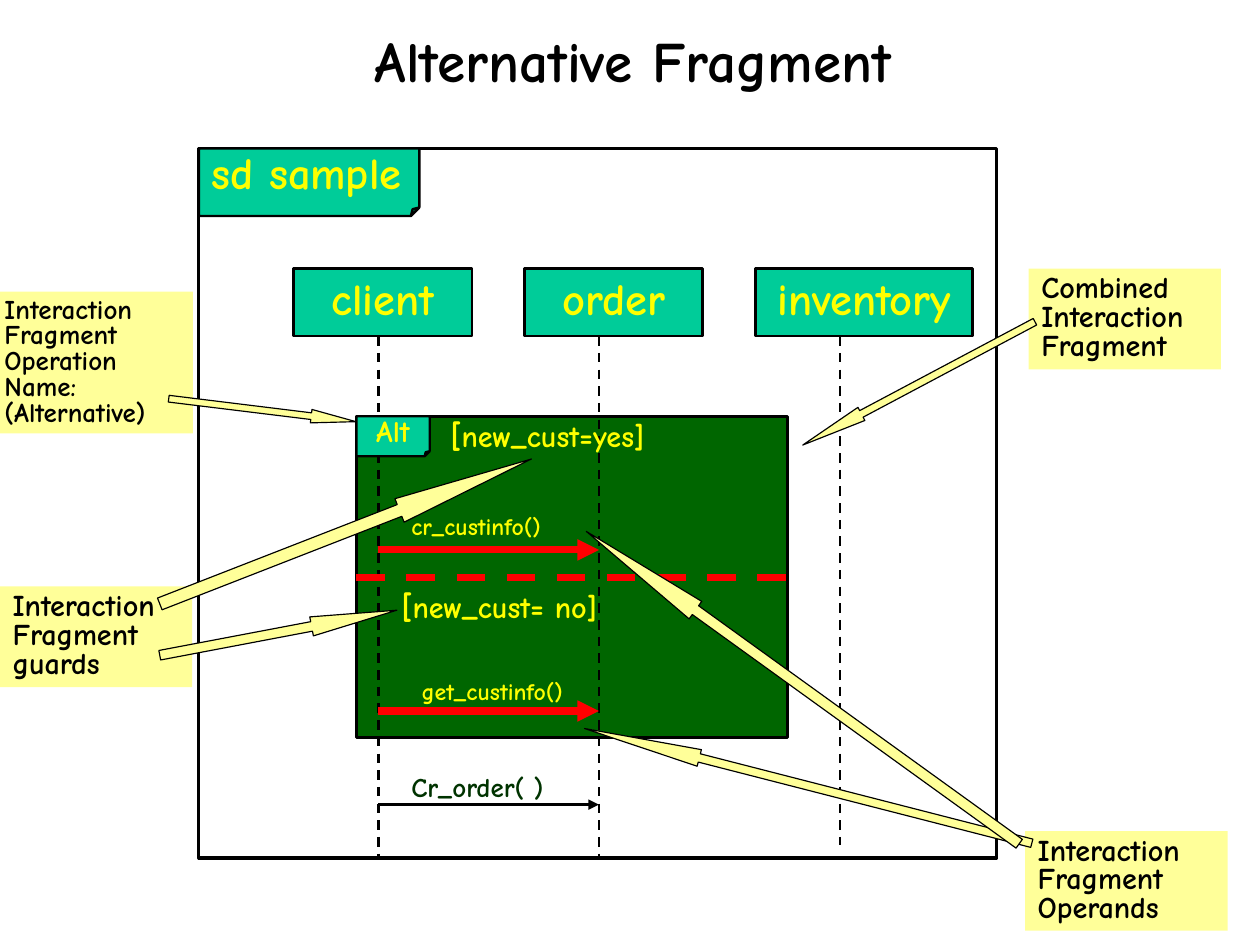
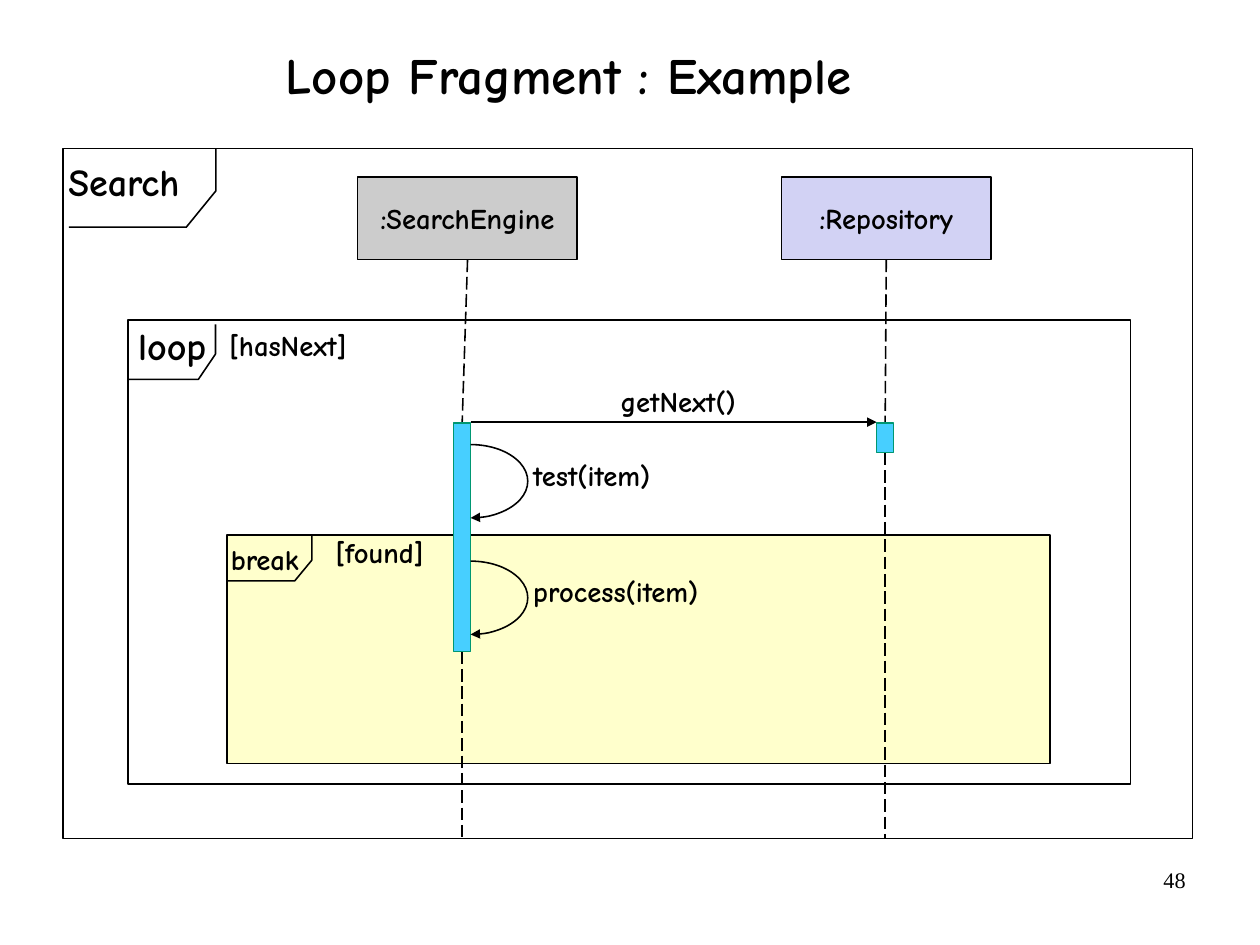
"""Build two slides on interaction fragments in sequence diagrams."""
import math

from lxml import etree
from pptx import Presentation
from pptx.dml.color import RGBColor
from pptx.enum.dml import MSO_LINE
from pptx.enum.shapes import MSO_CONNECTOR, MSO_SHAPE
from pptx.enum.text import MSO_ANCHOR, PP_ALIGN
from pptx.oxml.ns import qn
from pptx.util import Cm, Pt

RECT, FOLD = MSO_SHAPE.RECTANGLE, MSO_SHAPE.FOLDED_CORNER
ARROW, ARC = MSO_SHAPE.LEFT_ARROW, MSO_SHAPE.ARC
STRAIGHT = MSO_CONNECTOR.STRAIGHT
DASH, LONG = MSO_LINE.DASH, MSO_LINE.LONG_DASH
LEFT, CENTER, RIGHT = PP_ALIGN.LEFT, PP_ALIGN.CENTER, PP_ALIGN.RIGHT
TOP, MIDDLE = MSO_ANCHOR.TOP, MSO_ANCHOR.MIDDLE
FONT, SERIF = "Comic Neue", "Times New Roman"
TIGHT = {"gap": 0.8, "pad": (0.28, 0.15)}
COLORS = {
    "black": "000000", "white": "FFFFFF", "teal": "00CC99",
    "yellow": "FFFF00", "green": "006600", "dark": "003300",
    "red": "FF0000", "note": "FFFF99", "cream": "FFFFCC",
    "gray": "CCCCCC", "lilac": "D2D2F4", "sky": "47CFFF", "edge": "009771",
}


def rgb(name):
    """Return a named colour."""
    return RGBColor.from_string(COLORS[name])


def style(run, size, color="black", font=FONT, bold=True):
    """Format one run of text."""
    run.font.size, run.font.name, run.font.bold = Pt(size), font, bold
    run.font.color.rgb = rgb(color)


def write(shape, text, size, color="black", align=LEFT, anchor=TOP,
          gap=1.0, pad=(0.25, 0.13), font=FONT, bold=True):
    """Put formatted text into a shape."""
    frame = shape.text_frame
    frame.text = text
    frame.word_wrap = True
    frame.vertical_anchor = anchor
    frame.margin_left = frame.margin_right = Cm(pad[0])
    frame.margin_top = frame.margin_bottom = Cm(pad[1])
    for para in frame.paragraphs:
        para.alignment, para.line_spacing = align, gap
        for run in para.runs:
            style(run, size, color, font, bold)


def paint(shape, fill, line="black", width=1.0):
    """Set the fill and outline of a shape."""
    shape.shadow.inherit = False
    if fill:
        shape.fill.solid()
        shape.fill.fore_color.rgb = rgb(fill)
    else:
        shape.fill.background()
    if line:
        shape.line.color.rgb = rgb(line)
        shape.line.width = Pt(width)
    else:
        shape.line.fill.background()


def box(slide, x, y, w, h, fill=None, line="black", width=1.0, kind=RECT):
    """Add a painted preset shape."""
    shape = slide.shapes.add_shape(kind, Cm(x), Cm(y), Cm(w), Cm(h))
    paint(shape, fill, line, width)
    return shape


def label(slide, x, y, w, h, text, size, color="black", **look):
    """Add a text box and return it."""
    shape = slide.shapes.add_textbox(Cm(x), Cm(y), Cm(w), Cm(h))
    write(shape, text, size, color, **look)
    return shape


def head(shape):
    """Add an arrowhead to the end of a line."""
    outline = shape._element.spPr.find(qn("a:ln"))
    etree.SubElement(outline, qn("a:tailEnd")).set("type", "triangle")


def link(slide, start, end, color="black", width=1.0, dash=None, tip=False):
    """Draw a straight line, dashed or with an arrowhead if asked."""
    line = slide.shapes.add_connector(
        STRAIGHT, Cm(start[0]), Cm(start[1]), Cm(end[0]), Cm(end[1]))
    line.line.color.rgb = rgb(color)
    line.line.width = Pt(width)
    if dash:
        line.line.dash_style = dash
    if tip:
        head(line)
    etree.SubElement(line._element.spPr, qn("a:effectLst"))


def title(slide, x, y, w, h, text, size):
    """Place and format the slide title."""
    shape = slide.shapes.title
    shape.left, shape.top, shape.width, shape.height = Cm(x), Cm(y), Cm(w), Cm(h)
    write(shape, text, size, align=CENTER, anchor=MIDDLE, gap=0.88, pad=(0, 0))


def fold(slide, x, y, w, h, text, size, **look):
    """Add a name tag with a small folded corner."""
    shape = box(slide, x, y, w, h, "teal", width=1.5, kind=FOLD)
    guides = shape._element.spPr.find(qn("a:prstGeom")).find(qn("a:avLst"))
    guide = etree.SubElement(guides, qn("a:gd"))
    guide.set("name", "adj")
    guide.set("fmla", "val 12500")
    write(shape, text, size, "yellow", **look, **TIGHT)


def actor(slide, x, y, w, text, stem, end):
    """Draw a participant and its lifeline."""
    high = 1.5
    shape = box(slide, x, y, w, high, "teal", width=1.75)
    write(shape, text, 28, "yellow", CENTER, MIDDLE, **TIGHT)
    link(slide, (x + stem, y + high), (x + stem, end), width=1.5, dash=DASH)


def guard(slide, x, y, w, text):
    """Write a guard with a larger opening bracket."""
    para = label(slide, x, y, w, 1, "[", 21, "yellow",
                 **TIGHT).text_frame.paragraphs[0]
    run = para.add_run()
    run.text = text
    style(run, 19, "yellow")


def alt(slide, x, y, w):
    """Draw the operands of the alternative fragment."""
    fold(slide, x, y, 1.63, 0.89, "Alt", 19, align=CENTER, anchor=MIDDLE)
    guard(slide, x + 1.81, y - 0.03, 6.38, "new_cust=yes]")
    guard(slide, x + 0.72, y + 3.78, 7.26, "new_cust= no]")
    for text, dx, dy, low in (("cr_custinfo()", 0.94, 2.1, 2.97),
                              ("get_custinfo()", 1.17, 5.76, 6.55)):
        label(slide, x + dx, y + dy, 4.42, 0.79, text, 15, "yellow", **TIGHT)
        link(slide, (x + 0.49, y + low), (x + 5.39, y + low),
             "red", 4.5, tip=True)
    link(slide, (x, y + 3.58), (x + w, y + 3.58), "red", 4.5, DASH)


def note(slide, x, y, w, h, text, size=19, pad=0.28):
    """Add a yellow note."""
    write(box(slide, x, y, w, h, "note", None), text, size,
          gap=0.8, pad=(pad, 0.15))


def point(slide, tail, tip, thick, ratio):
    """Draw a block arrow from tail to tip."""
    dx, dy = tail[0] - tip[0], tail[1] - tip[1]
    size = math.hypot(dx, dy)
    x, y = (tail[0] + tip[0] - size) / 2, (tail[1] + tip[1] - thick) / 2
    shape = box(slide, x, y, size, thick, "note", width=0.75, kind=ARROW)
    shape.adjustments[0], shape.adjustments[1] = 0.5, ratio
    shape.rotation = math.degrees(math.atan2(dy, dx)) % 360


def choice(slide):
    """Build the alternative fragment slide."""
    title(slide, 1.24, -0.3, 25.65, 3.48, "Alternative Fragment", 36)
    x, y = 4.42, 3.3
    box(slide, x, y, 17.73, 15.77, "white", width=2)
    fold(slide, x, y, 4.9, 1.5, "sd sample", 28)
    box(slide, 7.92, 9.25, 9.58, 7.14, "green", width=2)
    for left, wide, text, stem, end in ((6.53, 3.96, "client", 1.88, 19.07),
                                        (11.66, 3.96, "order", 1.65, 19.07),
                                        (16.79, 4.83, "inventory", 1.88, 18.77)):
        actor(slide, left, 5.97, wide, text, stem, end)
    label(slide, 8.86, 17.12, 4.29, 0.86, "Cr_order( )", 17, "dark", **TIGHT)
    link(slide, (8.41, 17.88), (13.31, 17.88), width=2.25, tip=True)
    alt(slide, 7.92, 9.25, 9.58)
    note(slide, 22.86, 5.97, 4.27, 2.24, "Combined\nInteraction\nFragment")
    note(slide, 0, 6.48, 4.29, 3.15,
         "Interaction\nFragment\nOperation\nName:\n(Alternative)", 17, 0.1)
    note(slide, 22.78, 18.47, 4.5, 2.21, "Interaction\nFragment\nOperands")
    note(slide, 0, 13.03, 4.27, 2.24, "Interaction\nFragment\nguards")
    for tail, tip, thick, ratio in (
            ((23, 7.15), (17.84, 9.89), 0.33, 4.47),
            ((3.75, 8.86), (7.91, 9.37), 0.3, 3.34),
            ((22.93, 18.74), (12.99, 16.19), 0.38, 6.93),
            ((3.55, 13.42), (11.81, 10.2), 0.56, 5.62),
            ((22.65, 18.75), (13.03, 11.81), 0.48, 6.23),
            ((3.55, 14.56), (8.82, 13.56), 0.43, 4.49)):
        point(slide, tail, tip, thick, ratio)


def panel(slide, area, text, size, tag, cut, shift, lead=0, rise=0,
          fill=None, width=1.0):
    """Draw a fragment frame with a cut-corner name tag."""
    x, y, w, h = area
    box(slide, x, y, w, h, fill, width=width)
    right, low = x + tag[0], y + tag[1]
    dots = [(x + lead, low), (right - cut[0], low),
            (right, low - cut[1]), (right, y + rise)]
    dots = [(Cm(a), Cm(b)) for a, b in dots]
    pen = slide.shapes.build_freeform(*dots[0])
    pen.add_line_segments(dots[1:], close=False)
    paint(pen.convert_to_shape(), None)
    label(slide, x + shift[0], y + shift[1], tag[0] + 0.66, 1.3, text, size)


def life(slide, x, y, w, text, fill, bar, long, end):
    """Draw a participant, its lifeline and its activation bar."""
    high, top, thin = 1.83, 9.4, 0.38
    write(box(slide, x, y, w, high, fill), text, 18,
          align=CENTER, anchor=MIDDLE)
    mid = bar + thin / 2
    link(slide, (x + w / 2, y + high), (mid, top), dash=LONG)
    link(slide, (mid, top + long), (mid, end), dash=LONG)
    box(slide, bar, top, thin, long, "sky", "edge")


def again(slide, x, y, text):
    """Draw a call to oneself with its name."""
    arc = box(slide, x - 1.27, y, 2.54, 1.63, kind=ARC)
    arc.adjustments[0], arc.adjustments[1] = 270 * 0.6, 90 * 0.6
    head(arc)
    label(slide, x + 1.14, y + 0.16, 5.16, 1.04, text, 18)


def cycle(slide):
    """Build the loop fragment slide."""
    title(slide, 0.04, 0.41, 25.2, 2.67, "Loop Fragment : Example", 32)
    panel(slide, (1.4, 3.3, 25.1, 15.34), "Search", 24, (3.4, 1.75),
          (0.66, 0.81), (-0.13, 0.1), lead=0.13, width=0.75)
    panel(slide, (2.84, 7.11, 22.28, 10.31), "loop", 24, (1.95, 1.32),
          (0.38, 0.56), (-0.02, -0.07), rise=0.1)
    panel(slide, (5.05, 11.89, 18.29, 5.08), "break", 18, (1.88, 1.02),
          (0.38, 0.46), (-0.17, 0.02), fill="cream")
    life(slide, 7.95, 3.94, 4.88, ":SearchEngine", "gray", 10.08, 5.08, 18.64)
    life(slide, 17.37, 3.94, 4.65, ":Repository", "lilac", 19.48, 0.66, 18.64)
    link(slide, (10.46, 9.38), (19.48, 9.38), tip=True)
    again(slide, 10.46, 9.88, "test(item)")
    again(slide, 10.46, 12.47, "process(item)")
    for x, y, text in ((13.54, 8.41, "getNext()"), (7.21, 11.76, "[found]"),
                       (4.85, 7.16, "[hasNext]")):
        label(slide, x, y, 3.96, 1.04, text, 18)
    label(slide, 20.07, 19.13, 6.53, 1.45, "48", 14, align=RIGHT,
          font=SERIF, bold=False)


def main():
    """Create and save the presentation."""
    deck = Presentation()
    deck.slide_width, deck.slide_height = Cm(28), Cm(21)
    for build in (choice, cycle):
        build(deck.slides.add_slide(deck.slide_layouts[5]))
    deck.save("out.pptx")


if __name__ == "__main__":
    main()
